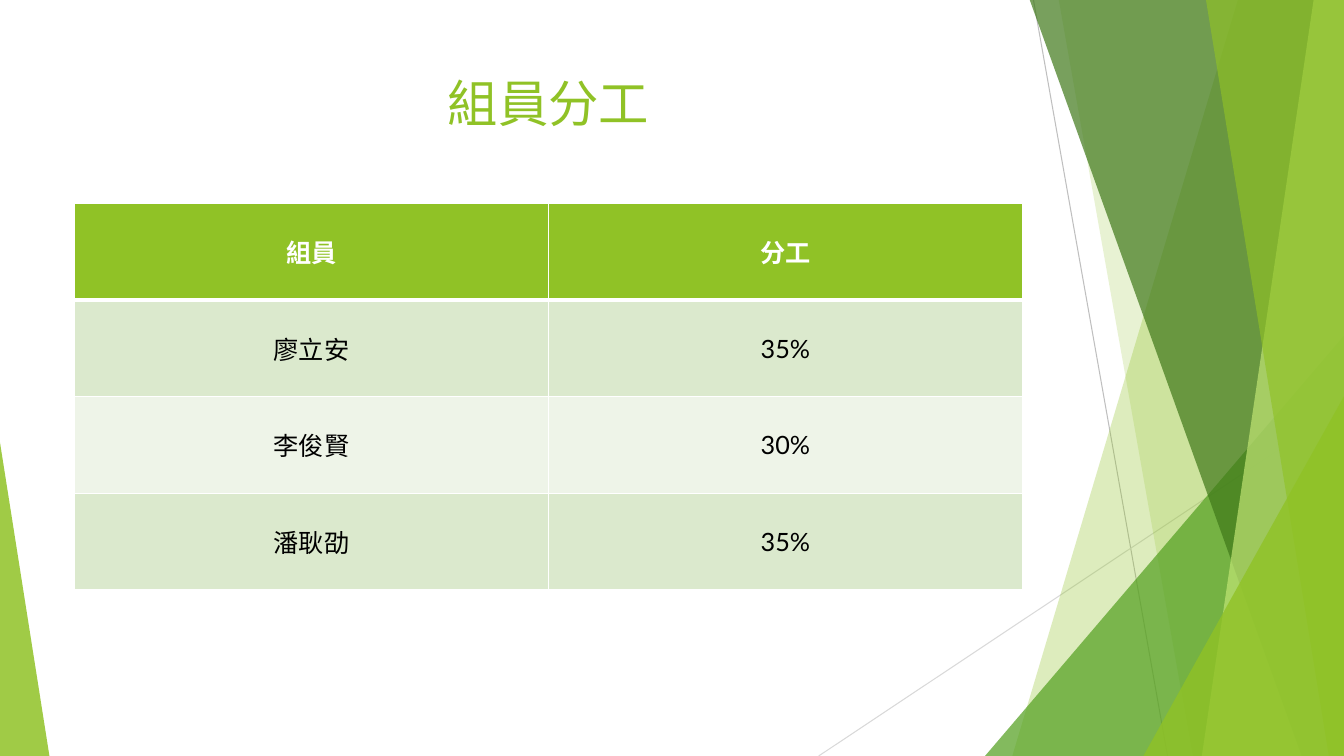
from collections import namedtuple
from dataclasses import dataclass

from lxml.etree import SubElement
from pptx import Presentation
from pptx.dml.color import RGBColor
from pptx.enum.shapes import MSO_CONNECTOR, MSO_SHAPE
from pptx.enum.text import MSO_ANCHOR, PP_ALIGN
from pptx.oxml import parse_xml
from pptx.oxml.ns import nsdecls, qn
from pptx.util import Inches, Pt

Box = namedtuple("Box", "left top width height")


@dataclass(frozen=True)
class Theme:
    """Colours, font and type sizes of the slide."""
    font: str = "Lato"
    title_size: int = 36
    table_size: int = 18
    lime: str = "90C226"
    pale_lime: str = "C0E474"
    green: str = "54A021"
    forest: str = "3F7819"
    white: str = "FFFFFF"
    black: str = "000000"
    bands: tuple = ("DBE9CD", "EEF4E8")
    steep_line: str = "BFBFBF"
    shallow_line: str = "D9D9D9"


THEME = Theme()
PAGE = Box(0, 0, 13.33, 7.5)
TITLE_BOX = Box(0.74, 0.67, 9.4, 1.44)
TABLE_BOX = Box(0.74, 2.02, 9.4, 3.83)
SHARES = [("組員", "分工"), ("廖立安", "35%"), ("李俊賢", "30%"), ("潘耿劭", "35%")]


def apply_format(target, values):
    """Set each named attribute of the target."""
    for name, value in values.items():
        setattr(target, name, value)


def write_centred(frame, words, size, color, bold=False):
    """Put one centred line of words in a text frame."""
    paragraph = frame.paragraphs[0]
    paragraph.alignment = PP_ALIGN.CENTER
    run = paragraph.add_run()
    run.text = words
    apply_format(run.font, {"name": THEME.font, "size": Pt(size), "bold": bold})
    run.font.color.rgb = RGBColor.from_string(color)


def tint(facet, color, opacity):
    """Give a facet a translucent fill, without outline or shadow."""
    facet.shadow.inherit = False
    facet.line.fill.background()
    facet.fill.solid()
    facet.fill.fore_color.rgb = RGBColor.from_string(color)
    rgb = facet._element.spPr.find(qn("a:solidFill")).find(qn("a:srgbClr"))
    SubElement(rgb, qn("a:alpha"), val=str(opacity * 1000))


def add_ray(shapes, box, start, end, color):
    """Draw a thin line between two points of the box."""
    ends = [Inches(origin + offset) for point in (start, end)
            for origin, offset in zip(box, point)]
    ray = shapes.add_connector(MSO_CONNECTOR.STRAIGHT, *ends)
    ray.line.width = Pt(0.75)
    ray.line.color.rgb = RGBColor.from_string(color)
    SubElement(ray._element.spPr, qn("a:effectLst"))


def add_band(shapes, box, top_x, bottom_x, color, opacity):
    """Fill the box to the right of a slanted edge, from top to bottom."""
    right, bottom = box.left + box.width, box.top + box.height
    corners = [(box.left + top_x, box.top - 0.01), (right, box.top - 0.01),
               (right, bottom), (box.left + bottom_x, bottom)]
    points = [(Inches(x), Inches(y)) for x, y in corners]
    builder = shapes.build_freeform(*points[0])
    builder.add_line_segments(points[1:], close=True)
    tint(builder.convert_to_shape(), color, opacity)


def add_wedge(shapes, box, width, height, apex, color, opacity):
    """Stand a right triangle in the left (apex 0) or right (apex 1) bottom corner."""
    wedge = shapes.add_shape(
        MSO_SHAPE.ISOSCELES_TRIANGLE,
        Inches(box.left + apex * (box.width - width)),
        Inches(box.top + box.height - height), Inches(width), Inches(height))
    wedge.adjustments[0] = apex
    tint(wedge, color, opacity)


def add_facets(shapes, box):
    """Build the faceted green decoration, back to front."""
    add_ray(shapes, box, (10.25, 0), (11.58, 7.5), THEME.steep_line)
    add_ray(shapes, box, (13.33, 4.03), (8.12, 7.5), THEME.shallow_line)
    for draw, *values in (
            (add_band, 12.28, 10.04, THEME.lime, 30),
            (add_band, 10.5, 11.83, THEME.lime, 20),
            (add_wedge, 3.56, 4.17, 1, THEME.green, 72),
            (add_band, 10.21, 12.91, THEME.forest, 70),
            (add_band, 13.03, 11.92, THEME.pale_lime, 70),
            (add_band, 11.96, 13.18, THEME.lime, 65),
            (add_wedge, 1.99, 3.57, 1, THEME.lime, 80),
            (add_wedge, 0.49, 3.11, 0, THEME.lime, 85)):
        draw(shapes, box, *values)


def add_title(shapes, box, words):
    """Write the slide title at the top of its box."""
    frame = shapes.add_textbox(*map(Inches, box)).text_frame
    apply_format(frame, {"word_wrap": True, "vertical_anchor": MSO_ANCHOR.TOP})
    write_centred(frame, words, THEME.title_size, THEME.lime)


def set_borders(cell, widths):
    """Draw white cell borders; widths maps each side to points."""
    properties = cell._tc.get_or_add_tcPr()
    for place, (side, width) in enumerate(widths.items()):
        properties.insert(place, parse_xml(
            f'<a:ln{side} {nsdecls("a")} w="{Pt(width)}"><a:solidFill>'
            f'<a:srgbClr val="{THEME.white}"/></a:solidFill></a:ln{side}>'))


def add_share_table(shapes, box, rows):
    """Fill the box with the table of members and their shares."""
    table = shapes.add_table(len(rows), len(rows[0]), *map(Inches, box)).table
    for column in table.columns:
        column.width = Inches(box.width / len(rows[0]))
    for r, member in enumerate(rows):
        table.rows[r].height = Inches(box.height / len(rows))
        header = r == 0
        fill = THEME.lime if header else THEME.bands[(r - 1) % 2]
        ink = THEME.white if header else THEME.black
        for c, words in enumerate(member):
            cell = table.cell(r, c)
            cell.vertical_anchor = MSO_ANCHOR.MIDDLE
            cell.fill.solid()
            cell.fill.fore_color.rgb = RGBColor.from_string(fill)
            write_centred(cell.text_frame, words, THEME.table_size, ink, header)
            set_borders(cell, {"L": 1, "R": 1, "T": 3 if r == 1 else 1,
                               "B": 3 if header else 1})


def main():
    """Build and save the slide."""
    deck = Presentation()
    apply_format(deck, {"slide_width": Inches(PAGE.width),
                        "slide_height": Inches(PAGE.height)})
    shapes = deck.slides.add_slide(deck.slide_layouts[6]).shapes
    add_facets(shapes, PAGE)
    add_title(shapes, TITLE_BOX, "組員分工")
    add_share_table(shapes, TABLE_BOX, SHARES)
    deck.save("out.pptx")


main()
